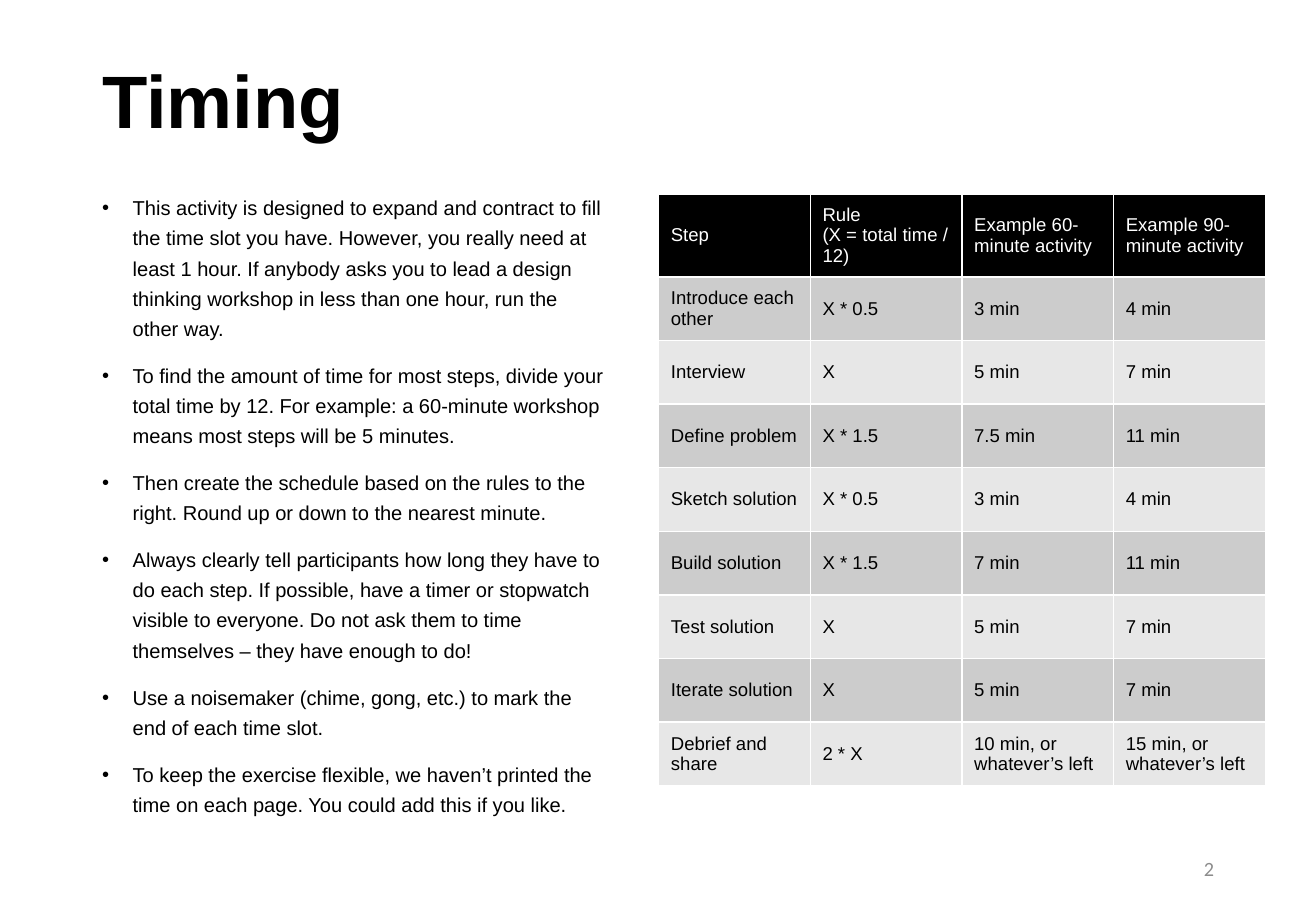
from dataclasses import dataclass

from lxml.etree import SubElement
from pptx import Presentation
from pptx.dml.color import RGBColor as Rgb
from pptx.enum.text import MSO_ANCHOR as Anchor, MSO_AUTO_SIZE as AutoSize, PP_ALIGN as Align
from pptx.oxml.ns import qn
from pptx.util import Cm, Pt


@dataclass(frozen=True)
class Theme:
    font: str = "Arial"
    number_font: str = "Calibri"
    ink: Rgb = Rgb(0x00, 0x00, 0x00)
    paper: Rgb = Rgb(0xFF, 0xFF, 0xFF)
    dark_band: Rgb = Rgb(0xCC, 0xCC, 0xCC)
    light_band: Rgb = Rgb(0xE7, 0xE7, 0xE7)
    muted: Rgb = Rgb(0x8C, 0x8C, 0x8C)
    title_size: float = 44
    advice_size: float = 11.9
    table_size: float = 11
    number_size: float = 12


theme = Theme()


def add_run(paragraph, text, size, color, font=theme.font, bold=False):
    run = paragraph.add_run()
    run.text = text
    run.font.name = font
    run.font.size = Pt(size)
    run.font.bold = bold
    run.font.color.rgb = color


def place(shape, left, top, width, height):
    shape.left, shape.top, shape.width, shape.height = Cm(left), Cm(top), Cm(width), Cm(height)
    shape.text_frame.word_wrap = True
    shape.text_frame.auto_size = AutoSize.NONE


deck = Presentation()
deck.slide_width, deck.slide_height = Cm(27.51), Cm(19.05)
slide = deck.slides.add_slide(deck.slide_layouts[1])

title = slide.shapes.title
place(title, 1.88, 1.02, 23.72, 2.31)
title.text_frame.vertical_anchor = Anchor.MIDDLE
heading = title.text_frame.paragraphs[0]
heading.alignment = Align.LEFT
heading.line_spacing = 0.9
add_run(heading, "Timing", theme.title_size, theme.ink, bold=True)

advice = [
    "This activity is designed to expand and contract to fill the time slot you have. "
    "However, you really need at least 1 hour. If anybody asks you to lead a design "
    "thinking workshop in less than one hour, run the other way.",
    "To find the amount of time for most steps, divide your total time by 12. "
    "For example: a 60-minute workshop means most steps will be 5 minutes.",
    "Then create the schedule based on the rules to the right. "
    "Round up or down to the nearest minute.",
    "Always clearly tell participants how long they have to do each step. If possible, "
    "have a timer or stopwatch visible to everyone. Do not ask them to time themselves "
    "– they have enough to do!",
    "Use a noisemaker (chime, gong, etc.) to mark the end of each time slot.",
    "To keep the exercise flexible, we haven’t printed the time on each page. "
    "You could add this if you like.",
]
advice_list = slide.placeholders[1]
place(advice_list, 1.88, 3.84, 11.07, 14.48)
advice_list.text_frame.vertical_anchor = Anchor.TOP
for index, tip in enumerate(advice):
    frame = advice_list.text_frame
    paragraph = frame.add_paragraph() if index else frame.paragraphs[0]
    properties = paragraph._p.get_or_add_pPr()
    properties.set("marL", str(Cm(0.64)))
    properties.set("indent", str(-Cm(0.64)))
    SubElement(properties, qn("a:buFont"), typeface=theme.font)
    SubElement(properties, qn("a:buChar"), char="•")
    paragraph.line_spacing = 1.25
    paragraph.space_before = Pt(10 if index else 0)
    add_run(paragraph, tip, theme.advice_size, theme.ink)

schedule = [
    ("Step", "Rule\n(X = total time / 12)", "Example 60-minute activity", "Example 90-minute activity"),
    ("Introduce each other", "X * 0.5", "3 min", "4 min"),
    ("Interview", "X", "5 min", "7 min"),
    ("Define problem", "X * 1.5", "7.5 min", "11 min"),
    ("Sketch solution", "X * 0.5", "3 min", "4 min"),
    ("Build solution", "X * 1.5", "7 min", "11 min"),
    ("Test solution", "X", "5 min", "7 min"),
    ("Iterate solution", "X", "5 min", "7 min"),
    ("Debrief and share", "2 * X", "10 min, or whatever’s left", "15 min, or whatever’s left"),
]
timetable = slide.shapes.add_table(
    len(schedule), len(schedule[0]), Cm(13.77), Cm(4.06), Cm(12.68), Cm(12.37)
).table
for column in timetable.columns:
    column.width = Cm(3.17)
for row_index, step in enumerate(schedule):
    timetable.rows[row_index].height = Cm(1.33 if row_index else 1.73)
    band = theme.dark_band if row_index % 2 else theme.light_band
    fill, color = (band, theme.ink) if row_index else (theme.ink, theme.paper)
    for column_index, entry in enumerate(step):
        cell = timetable.cell(row_index, column_index)
        cell.fill.solid()
        cell.fill.fore_color.rgb = fill
        cell.vertical_anchor = Anchor.MIDDLE
        for line_index, line in enumerate(entry.split("\n")):
            frame = cell.text_frame
            paragraph = frame.add_paragraph() if line_index else frame.paragraphs[0]
            add_run(paragraph, line, theme.table_size, color)

page_number = slide.shapes.add_textbox(0, 0, 0, 0)
place(page_number, 19.43, 17.65, 6.2, 1.02)
page_number.text_frame.vertical_anchor = Anchor.MIDDLE
number_line = page_number.text_frame.paragraphs[0]
number_line.alignment = Align.RIGHT
add_run(number_line, "2", theme.number_size, theme.muted, font=theme.number_font)

deck.save("out.pptx")
